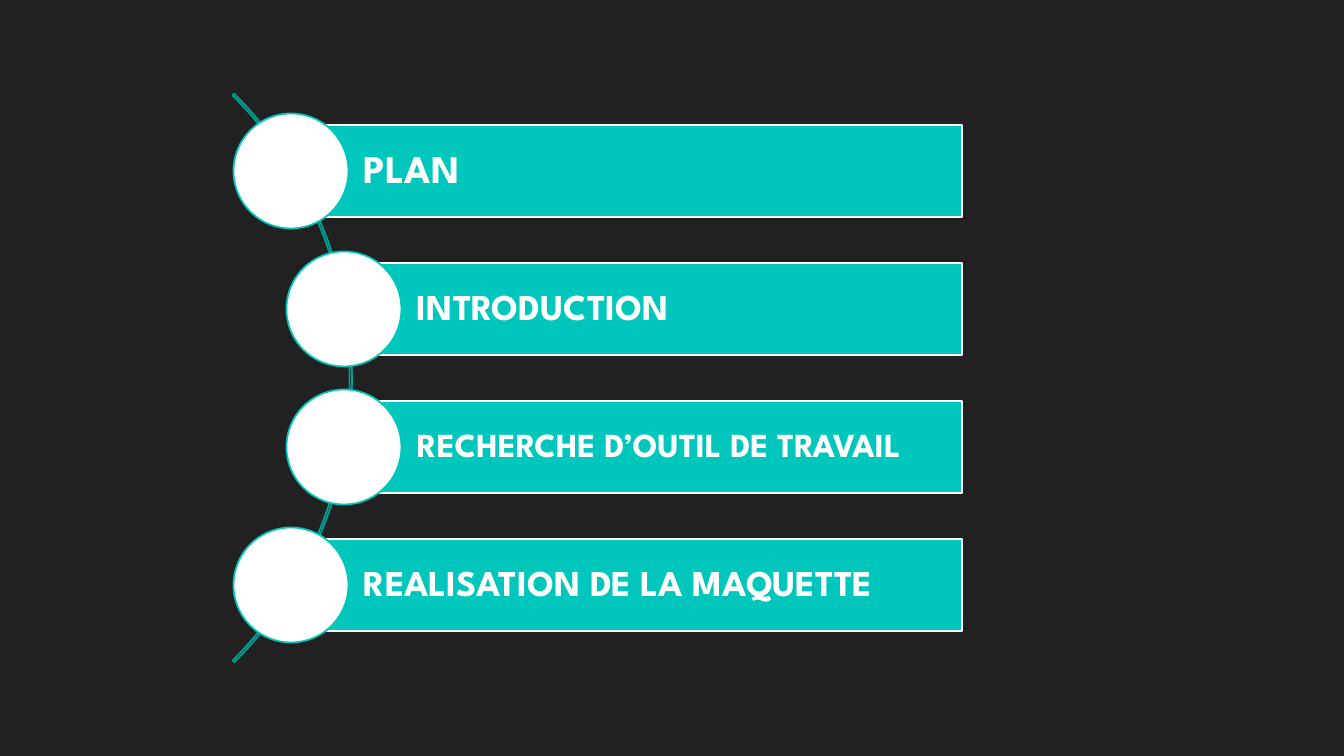
from pptx import Presentation
from pptx.dml.color import RGBColor
from pptx.enum.shapes import MSO_SHAPE
from pptx.enum.text import MSO_ANCHOR, PP_ALIGN
from pptx.util import Emu, Pt

STEPS = [
    ("PLAN", 28, 291),
    ("INTRODUCTION", 26, 344),
    ("RECHERCHE D’OUTIL DE TRAVAIL", 24, 344),
    ("REALISATION DE LA MAQUETTE", 26, 291),
]
COLORS = {"night": "212121", "teal": "00C6BB", "arc": "009F96", "white": "FFFFFF"}
FONT = "League Spartan"
PAGE_WIDTH, PAGE_HEIGHT = 1344, 756
BAR_RIGHT, BAR_HEIGHT, STEP_GAP = 962, 92, 138
DISC_SIZE = 115
ARC_LEFT, ARC_SIZE = -452, 804
TEXT_INSET, EDGE_INSET = 73, 7


def px(value):
    return Emu(round(value * 914400 / 100.8))


def color(name):
    return RGBColor.from_string(COLORS[name])


def add_outlined(kind, left, top, width, height, fill, line):
    shape = page.shapes.add_shape(kind, px(left), px(top), px(width), px(height))
    shape.shadow.inherit = False
    if fill:
        shape.fill.solid()
        shape.fill.fore_color.rgb = color(fill)
    else:
        shape.fill.background()
    shape.line.color.rgb = color(line)
    shape.line.width = Pt(1.25)
    return shape


def write_label(bar, text, size):
    frame = bar.text_frame
    frame.word_wrap = True
    frame.vertical_anchor = MSO_ANCHOR.MIDDLE
    frame.margin_left = px(TEXT_INSET)
    frame.margin_right = frame.margin_top = frame.margin_bottom = px(EDGE_INSET)
    para = frame.paragraphs[0]
    para.alignment = PP_ALIGN.LEFT
    para.line_spacing = 0.9
    span = para.add_run()
    span.text = text
    span.font.name = FONT
    span.font.size = Pt(size)
    span.font.bold = True
    span.font.color.rgb = color("white")


deck = Presentation()
deck.slide_width, deck.slide_height = px(PAGE_WIDTH), px(PAGE_HEIGHT)
page = deck.slides.add_slide(deck.slide_layouts[6])
page.background.fill.solid()
page.background.fill.fore_color.rgb = color("night")

arc_top = (PAGE_HEIGHT - ARC_SIZE) / 2
arc = add_outlined(MSO_SHAPE.BLOCK_ARC, ARC_LEFT, arc_top, ARC_SIZE, ARC_SIZE, None, "arc")
for index, value in enumerate((189, 27, 0.003)):
    arc.adjustments[index] = value

first_middle = (PAGE_HEIGHT - STEP_GAP * (len(STEPS) - 1)) / 2
for index, (text, size, left) in enumerate(STEPS):
    middle = first_middle + index * STEP_GAP
    bar = add_outlined(MSO_SHAPE.RECTANGLE, left, middle - BAR_HEIGHT / 2,
                       BAR_RIGHT - left, BAR_HEIGHT, "teal", "white")
    write_label(bar, text, size)
    add_outlined(MSO_SHAPE.OVAL, left - DISC_SIZE / 2, middle - DISC_SIZE / 2,
                 DISC_SIZE, DISC_SIZE, "white", "teal")

deck.save("out.pptx")
